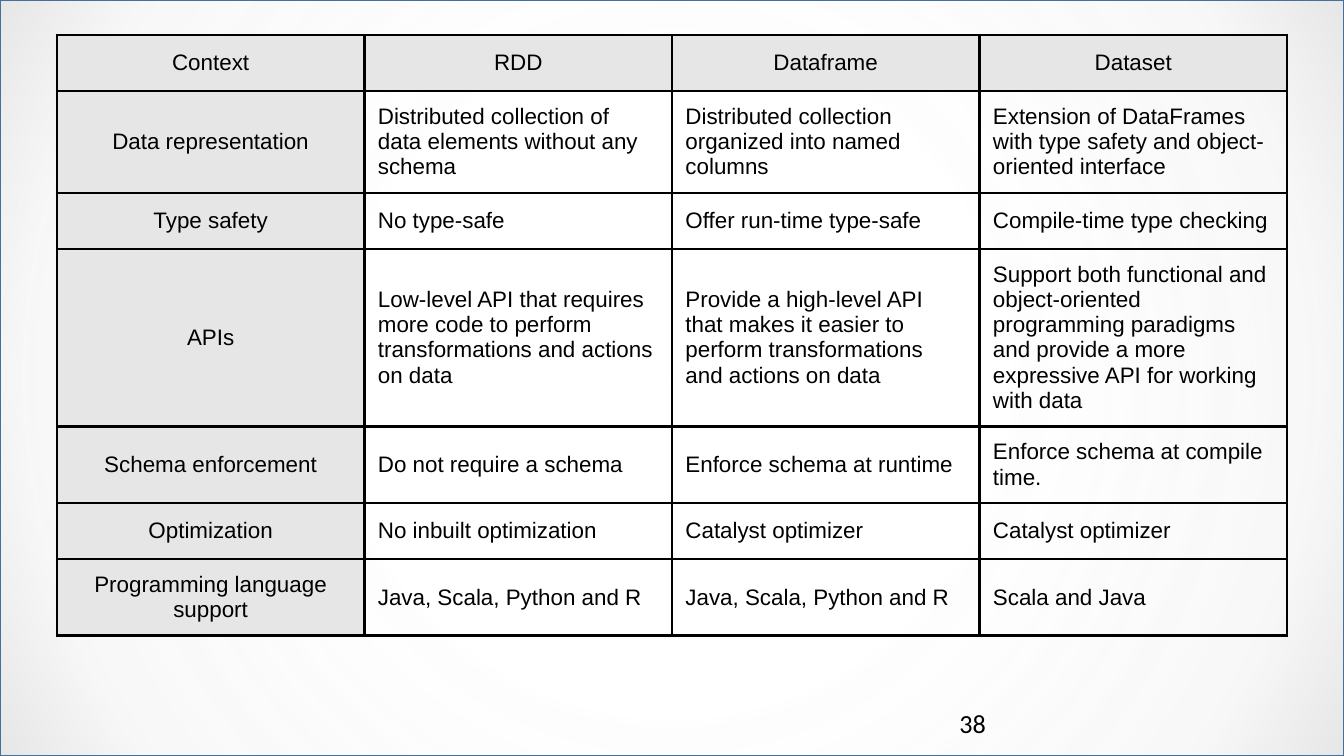
from pptx import Presentation, util as u
from pptx.dml.color import RGBColor
from pptx.enum import shapes, text
from pptx.oxml import parse_xml
from pptx.oxml.ns import nsdecls

BLACK, GREY = "000000", "E7E6E6"
BACKDROP = [(0, "F6F9FC", 0), (38, "FFFFFF", 14), (84, GREY, 29), (100, GREY, 100)]
ROW_HEIGHTS = [30, 54.6, 30, 95.1, 41.1, 30, 41.1]
ROWS = [
    ("Context", "RDD", "Dataframe", "Dataset"),
    ("Data representation",
     "Distributed collection of data elements without any schema",
     "Distributed collection organized into named columns",
     "Extension of DataFrames with type safety and object-oriented interface"),
    ("Type safety", "No type-safe", "Offer run-time type-safe",
     "Compile-time type checking"),
    ("APIs",
     "Low-level API that requires more code to perform transformations and actions on data",
     "Provide a high-level API that makes it easier to perform transformations and actions on data",
     "Support both functional and object-oriented programming paradigms "
     "and provide a more expressive API for working with data"),
    ("Schema enforcement", "Do not require a schema", "Enforce schema at runtime",
     "Enforce schema at compile time."),
    ("Optimization", "No inbuilt optimization", "Catalyst optimizer", "Catalyst optimizer"),
    ("Programming language support", "Java, Scala, Python and R",
     "Java, Scala, Python and R", "Scala and Java"),
]


def rgb(value):
    return RGBColor.from_string(value)


def write(tf, content, font="Arial", size=12, color=BLACK, align=text.PP_ALIGN.LEFT):
    tf.word_wrap = True
    p = tf.paragraphs[0]
    p.alignment = align
    r = p.add_run()
    r.text = content
    r.font.name = font
    r.font.size = u.Pt(size)
    r.font.color.rgb = rgb(color)


class Deck:
    """Holds the style and the current slide, and draws each kind of element."""

    def __init__(self, width, height):
        self.prs = Presentation()
        self.prs.slide_width, self.prs.slide_height = u.Pt(width), u.Pt(height)
        self.s = self.prs.slides.add_slide(self.prs.slide_layouts[6])
        self.border, self.side_inset, self.end_inset = 1.5, 7.2, 3.6

    def backdrop(self, stops, line):
        sp = self.s.shapes.add_shape(shapes.MSO_SHAPE.RECTANGLE, 0, 0,
                                     self.prs.slide_width, self.prs.slide_height)
        sp.shadow.inherit = False
        marks = "".join(
            f'<a:gs pos="{pos * 1000}"><a:srgbClr val="{color}">'
            f'<a:alpha val="{alpha * 1000}"/></a:srgbClr></a:gs>'
            for pos, color, alpha in stops)
        sp.element.spPr.insert(2, parse_xml(
            f'<a:gradFill {nsdecls("a")} rotWithShape="1"><a:gsLst>{marks}</a:gsLst>'
            '<a:path path="circle"><a:fillToRect l="50000" t="50000" r="50000" b="50000"/>'
            '</a:path></a:gradFill>'))
        sp.line.color.rgb = rgb(line)
        sp.line.width = u.Pt(1)

    def label(self, content, x, y, w, h, **style):
        tf = self.s.shapes.add_textbox(u.Pt(x), u.Pt(y), u.Pt(w), u.Pt(h)).text_frame
        tf.margin_left = tf.margin_right = u.Pt(5)
        tf.margin_top = tf.margin_bottom = u.Pt(2.5)
        write(tf, content, **style)

    def cell(self, cell, content, heading):
        tcPr = cell._tc.get_or_add_tcPr()
        for side in "LRTB":
            tcPr.append(parse_xml(
                f'<a:ln{side} {nsdecls("a")} w="{u.Pt(self.border)}"><a:solidFill>'
                f'<a:srgbClr val="{BLACK}"/></a:solidFill></a:ln{side}>'))
        if heading:
            cell.fill.solid()
            cell.fill.fore_color.rgb = rgb(GREY)
        else:
            cell.fill.background()
        cell.margin_left = cell.margin_right = u.Pt(self.side_inset)
        cell.margin_top = cell.margin_bottom = u.Pt(self.end_inset)
        cell.vertical_anchor = text.MSO_ANCHOR.MIDDLE
        align = text.PP_ALIGN.CENTER if heading else text.PP_ALIGN.LEFT
        write(cell.text_frame, content, align=align)

    def table(self, rows, x, y, col_width, row_heights):
        n, m = len(rows), len(rows[0])
        table = self.s.shapes.add_table(n, m, u.Pt(x), u.Pt(y), u.Pt(m * col_width),
                                        u.Pt(sum(row_heights))).table
        table.first_row = table.horz_banding = False
        for i, row in enumerate(rows):
            table.rows[i].height = u.Pt(row_heights[i])
            for j, content in enumerate(row):
                self.cell(table.cell(i, j), content, heading=i == 0 or j == 0)


def main():
    deck = Deck(720, 405)
    deck.backdrop(BACKDROP, "42719B")
    deck.label("38", 509, 376.5, 162, 21.5, font="Calibri", size=14)
    deck.table(ROWS, 30.5, 18.75, 164.75, ROW_HEIGHTS)
    deck.prs.save("out.pptx")


if __name__ == "__main__":
    main()
